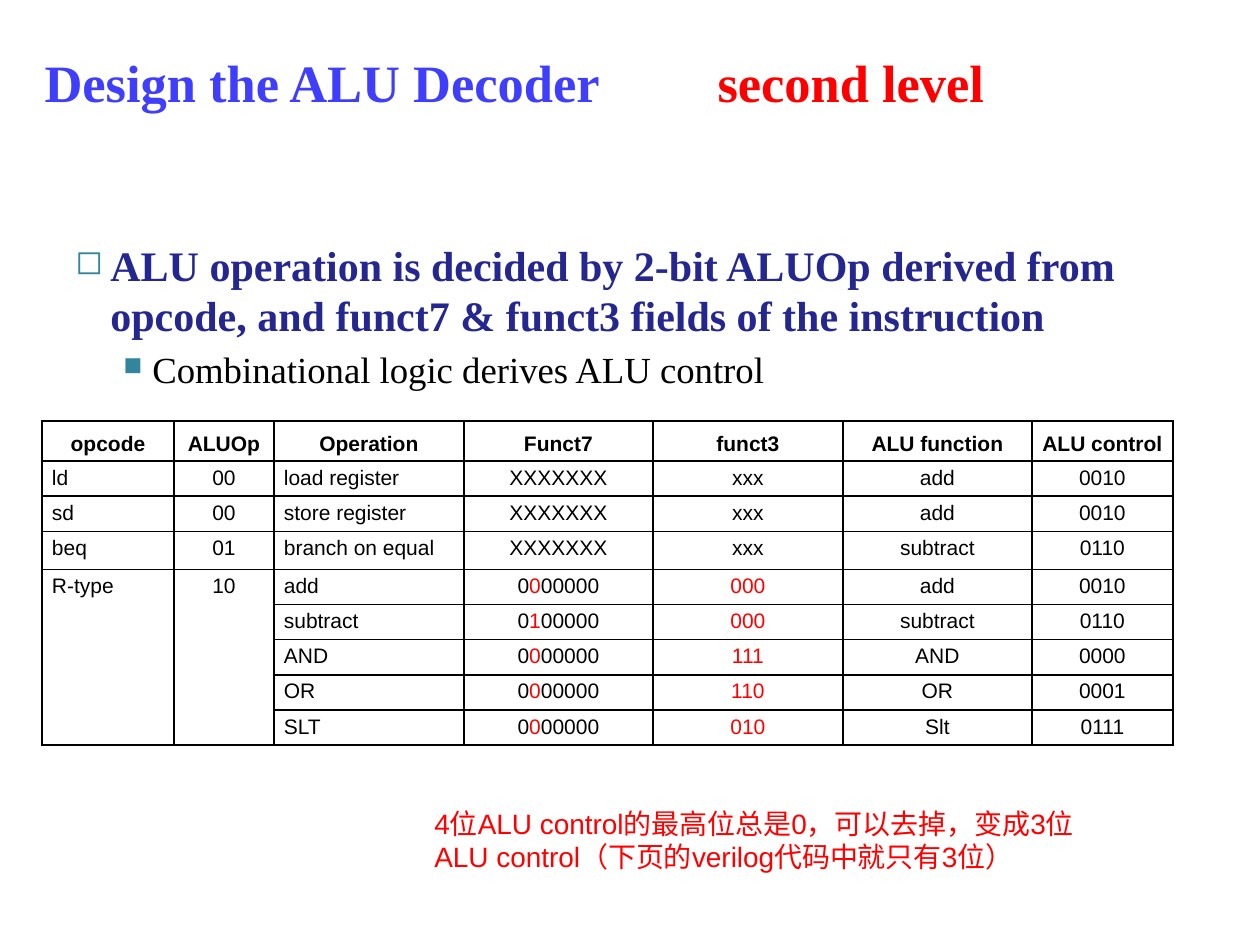
from lxml import etree
from pptx import Presentation, util as u
from pptx.dml.color import RGBColor
from pptx.enum import text
from pptx.oxml import ns

BLUE = RGBColor(0x3E, 0x3E, 0xFC)
NAVY = RGBColor(0x24, 0x27, 0x90)
RED = RGBColor(0xFF, 0, 0)
BLACK = RGBColor(0, 0, 0)
TEAL = RGBColor(0x31, 0x85, 0x9C)
SERIF, SANS = "Times New Roman", "Arial"
PX_PER_INCH = 126

COLUMNS = [132, 100, 190, 189, 190, 189, 141]
ROWS = [40, 35, 34, 38, 34, 35, 35, 34, 35]
HEADER = ["opcode", "ALUOp", "Operation", "Funct7", "funct3",
          "ALU function", "ALU control"]
LEFT_COLUMNS = (0, 2)
MEMORY_AND_BRANCH = [
    ("ld", "00", "load register", "add", "0010"),
    ("sd", "00", "store register", "add", "0010"),
    ("beq", "01", "branch on equal", "subtract", "0110"),
]
# operation, deciding bit of funct7, funct3, ALU function, ALU control
R_TYPE = [
    ("add", "0", "000", "add", "0010"),
    ("subtract", "1", "000", "subtract", "0110"),
    ("AND", "0", "111", "AND", "0000"),
    ("OR", "0", "110", "OR", "0001"),
    ("SLT", "0", "010", "Slt", "0111"),
]


def px(n):
    return u.Emu(round(n * 914400 / PX_PER_INCH))


def sub(parent, tag, **attrs):
    return etree.SubElement(parent, ns.qn(tag), attrs)


def set_font(p, name, size, color, bold=False):
    f = p.font
    f.name, f.size, f.bold = name, u.Pt(size), bold
    f.color.rgb = color


def add_runs(p, *parts):
    """Each part is a string, or a (string, colour) pair."""
    for part in parts:
        words, color = (part, None) if isinstance(part, str) else part
        r = p.add_run()
        r.text = words
        if color is not None:
            r.font.color.rgb = color


def add_title(s):
    sp = s.shapes.title
    sp.left, sp.top, sp.width, sp.height = px(32), px(16), px(1085), px(131)
    tf = sp.text_frame
    tf.vertical_anchor = text.MSO_ANCHOR.MIDDLE
    p = tf.paragraphs[0]
    p.alignment = text.PP_ALIGN.LEFT
    tabs = sub(p._p.get_or_add_pPr(), "a:tabLst")
    sub(tabs, "a:tab", pos=str(px(673)), algn="l")
    set_font(p, SERIF, 30, BLUE, True)
    add_runs(p, "Design the ALU Decoder\t", ("second level", RED))


def add_textbox(s, left, top, width, height):
    tf = s.shapes.add_textbox(px(left), px(top), px(width), px(height)).text_frame
    tf.word_wrap = True
    return tf


def set_bullet(p, char, percent, indent, hanging):
    pPr = p._p.get_or_add_pPr()
    pPr.set("marL", str(px(indent)))
    pPr.set("indent", str(-px(hanging)))
    sub(sub(pPr, "a:buClr"), "a:srgbClr", val=str(TEAL))
    sub(pPr, "a:buSzPct", val=str(percent * 1000))
    sub(pPr, "a:buChar", char=char)


def add_body(s):
    tf = add_textbox(s, 63, 233, 1134, 160)
    p = tf.paragraphs[0]
    set_bullet(p, "◻", 80, 35, 35)
    set_font(p, SERIF, 24, NAVY, True)
    add_runs(p, "ALU operation is decided by 2-bit ALUOp derived from opcode, "
                "and funct7 & funct3 fields of the instruction")
    p = tf.add_paragraph()
    p.level = 1
    set_bullet(p, "■", 70, 77, 29)
    p.space_before = u.Pt(4)
    set_font(p, SERIF, 21, BLACK)
    add_runs(p, "Combinational logic derives ALU control")


def style_cell(cell):
    cell.margin_left = cell.margin_right = px(10)
    cell.margin_top = cell.margin_bottom = px(5)
    tcPr = cell._tc.get_or_add_tcPr()
    for side in ("a:lnL", "a:lnR", "a:lnT", "a:lnB"):
        ln = sub(tcPr, side, w=str(u.Pt(1)))
        sub(sub(ln, "a:solidFill"), "a:srgbClr", val=str(BLACK))
    cell.fill.background()


def table_rows():
    """Every cell as a tuple of run parts."""
    yield [(h,) for h in HEADER]
    for opcode, op, name, function, control in MEMORY_AND_BRANCH:
        row = (opcode, op, name, "XXXXXXX", "xxx", function, control)
        yield [(c,) for c in row]
    for i, (name, bit, funct3, function, control) in enumerate(R_TYPE):
        shared = [("R-type",), ("10",)] if i == 0 else [(), ()]
        yield shared + [(name,), ("0", (bit, RED), "00000"),
                        ((funct3, RED),), (function,), (control,)]


def add_decoder_table(s):
    table = s.shapes.add_table(len(ROWS), len(COLUMNS), px(42), px(421),
                               px(sum(COLUMNS)), px(sum(ROWS))).table
    table.first_row = table.horz_banding = False
    for column, width in zip(table.columns, COLUMNS):
        column.width = px(width)
    for row, height in zip(table.rows, ROWS):
        row.height = px(height)
    for i, row in enumerate(table_rows()):
        for j, parts in enumerate(row):
            cell = table.cell(i, j)
            style_cell(cell)
            p = cell.text_frame.paragraphs[0]
            centred = i == 0 or j not in LEFT_COLUMNS
            p.alignment = text.PP_ALIGN.CENTER if centred else text.PP_ALIGN.LEFT
            set_font(p, SANS, 12, BLACK, i == 0)
            add_runs(p, *parts)
            if i == 0:
                cell.vertical_anchor = text.MSO_ANCHOR.BOTTOM
    # opcode and ALUOp are shared by all R-type rows
    first = len(ROWS) - len(R_TYPE)
    for j in (0, 1):
        table.cell(first, j).merge(table.cell(len(ROWS) - 1, j))


def add_note(s):
    p = add_textbox(s, 422, 800, 694, 81).paragraphs[0]
    set_font(p, SANS, 16, RED)
    add_runs(p, "4位ALU control的最高位总是0，可以去掉，变成3位ALU control"
                "（下页的verilog代码中就只有3位）")


def main():
    prs = Presentation()
    prs.slide_width, prs.slide_height = px(1260), px(945)
    s = prs.slides.add_slide(prs.slide_layouts[5])
    add_title(s)
    add_body(s)
    add_decoder_table(s)
    add_note(s)
    prs.save("out.pptx")


if __name__ == "__main__":
    main()
